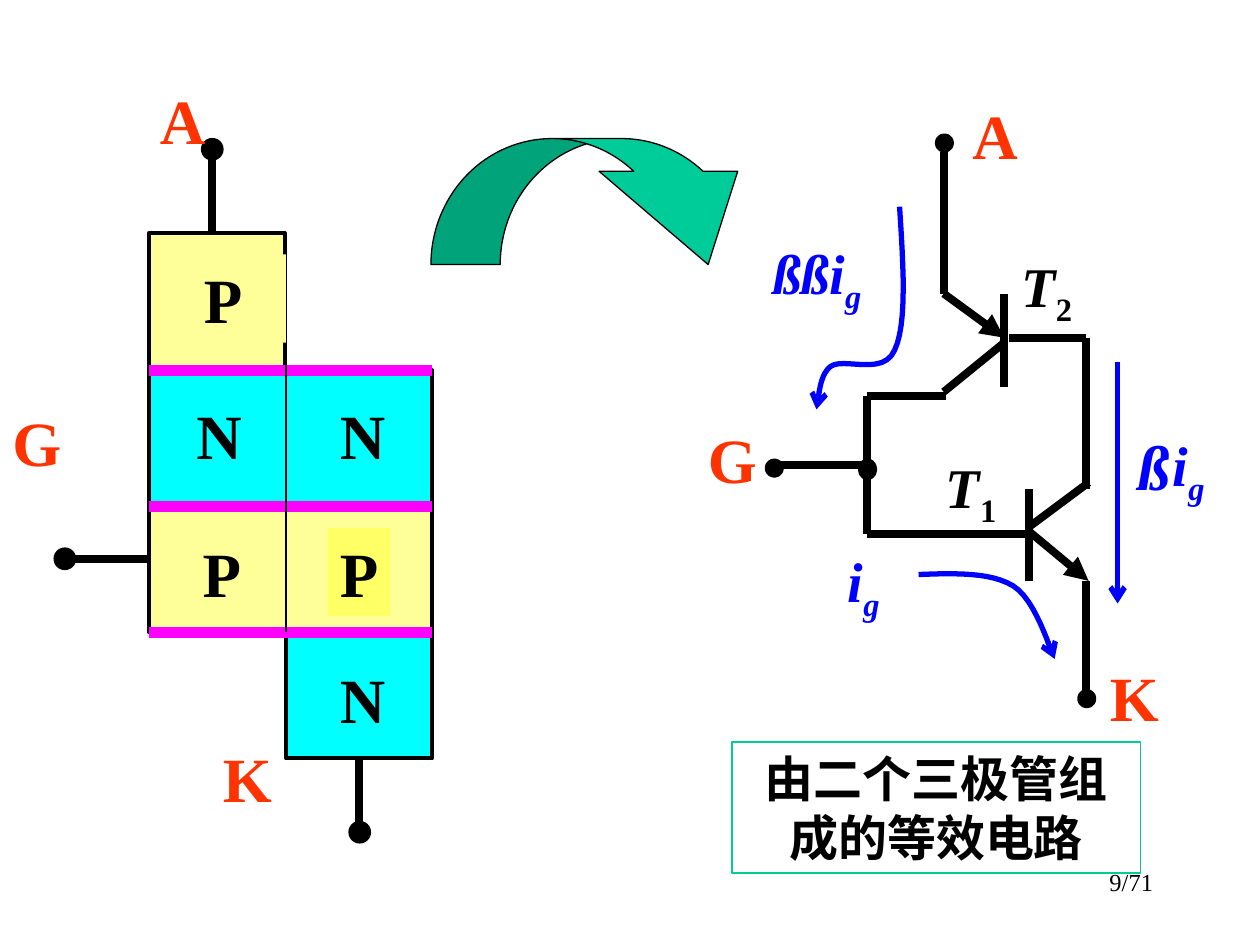
from lxml import etree
from pptx import Presentation
from pptx.dml.color import RGBColor
from pptx.enum.shapes import MSO_CONNECTOR, MSO_SHAPE
from pptx.enum.text import MSO_AUTO_SIZE, PP_ALIGN
from pptx.oxml.ns import qn
from pptx.util import Inches, Pt

RECT, OVAL = MSO_SHAPE.RECTANGLE, MSO_SHAPE.OVAL
CURVED_ARROW = MSO_SHAPE.CURVED_DOWN_ARROW
STRAIGHT = MSO_CONNECTOR.STRAIGHT
LEFT, CENTER, RIGHT = PP_ALIGN.LEFT, PP_ALIGN.CENTER, PP_ALIGN.RIGHT
GROW = MSO_AUTO_SIZE.SHAPE_TO_FIT_TEXT
FONT = "Times New Roman"
BLACK, RED, BLUE, GREEN = "000000", "FF3300", "0000FF", "00CC99"
CYAN, YELLOW, BRIGHT, MAGENTA = "00FFFF", "FFFF99", "FFFF66", "FF00FF"
rgb = RGBColor.from_string

prs = Presentation()
prs.slide_width, prs.slide_height = Inches(10), Inches(7.5)
s = prs.slides.add_slide(prs.slide_layouts[6])


def add_text(text, x, y, w, h=0.7, size=36, color=BLACK, bold=True, italic=False,
             sub="", sub_italic=True, fill=None, wrap=False, align=LEFT):
    sp = s.shapes.add_textbox(Inches(x), Inches(y), Inches(w), Inches(h))
    if fill:
        sp.fill.solid()
        sp.fill.fore_color.rgb = rgb(fill)
    tf = sp.text_frame
    tf.word_wrap = wrap
    if not wrap:
        tf.auto_size = GROW
    p = tf.paragraphs[0]
    p.alignment = align
    for part, slanted in ((text, italic), (sub, sub_italic)):
        if part:
            r = p.add_run()
            r.text = part
            r.font.name, r.font.size = FONT, Pt(size)
            r.font.bold, r.font.italic = bold, slanted
            r.font.color.rgb = rgb(color)
    if sub:
        r.font._element.set("baseline", "-25000")
    return sp


def style_line(sp, color, width, head=None):
    sp.line.color.rgb = rgb(color)
    sp.line.width = Pt(width)
    if head:
        etree.SubElement(sp.line._get_or_add_ln(), qn("a:tailEnd"), type=head)


# Semiconductor layers
for x, y, w, h, color in [
    (2.27, 5.02, 1.16, 1, CYAN), (1.18, 2.94, 2.25, 1.08, CYAN),
    (1.18, 4.02, 2.25, 1, YELLOW), (1.18, 1.85, 1.08, 1.08, YELLOW),
]:
    sp = s.shapes.add_shape(RECT, Inches(x), Inches(y), Inches(w), Inches(h))
    sp.shadow.inherit = False
    sp.fill.solid()
    sp.fill.fore_color.rgb = rgb(color)
    style_line(sp, BLACK, 2.25)
    if y == 5.02:
        cathode_layer = sp

# Layer letters
for text, x, y, w, fill in [
    ("P", 1.52, 2.02, 0.75, YELLOW), ("N", 1.46, 3.1, 0.56, CYAN),
    ("P", 1.51, 4.19, 0.5, YELLOW), ("N", 2.6, 3.1, 0.56, None),
    ("P", 2.6, 4.19, 0.5, BRIGHT), ("N", 2.6, 5.19, 0.56, CYAN),
]:
    add_text(text, x, y, w, fill=fill, wrap=w == 0.75)

# Junctions, leads, transistor circuit and base current
junctions = [(1.18, y, 3.43, y, MAGENTA, 6, None) for y in (4.02, 5.02, 2.94)]
wires = [(*ends, BLACK, 4.5, None) for ends in [
    (1.68, 1.85, 1.68, 1.19), (2.85, 6.02, 2.85, 6.6), (1.18, 4.44, 0.52, 4.44),
    (7.51, 3.14, 7.21, 3.14), (8.19, 4.24, 6.88, 4.24), (8.64, 3.83, 8.17, 4.18),
    (8.17, 3.88, 8.17, 4.61), (7.97, 2.33, 7.97, 3.07), (7.97, 2.72, 7.49, 3.11),
    (7.49, 1.85, 7.49, 2.33), (8.01, 2.68, 8.62, 2.68), (7.49, 1.21, 7.49, 1.85),
    (8.62, 2.68, 8.62, 3.88), (7.4, 3.14, 6.88, 3.14), (6.88, 3.14, 6.88, 4.24),
    (6.19, 3.69, 6.88, 3.69), (8.62, 4.61, 8.62, 5.53),
]]
others = [
    (2.27, 2.85, 2.27, 5.02, BLACK, 0.75, None),
    (8.17, 4.22, 8.64, 4.61, BLACK, 4.5, "triangle"),
    (7.49, 2.33, 7.97, 2.68, BLACK, 4.5, "triangle"),
    (8.87, 2.87, 8.87, 4.79, BLUE, 3, "arrow"),
]
for x1, y1, x2, y2, color, width, head in junctions + wires + others:
    line = s.shapes.add_connector(STRAIGHT, Inches(x1), Inches(y1), Inches(x2), Inches(y2))
    style_line(line, color, width, head)
    etree.SubElement(line._element.spPr, qn("a:effectLst"))
    if (x1, y1) == (2.85, 6.02):
        line.begin_connect(cathode_layer, 2)

# Terminals and node
for x, y, w, h, width in [
    (2.77, 6.52, 0.17, 0.17, 0.75), (0.43, 4.35, 0.17, 0.17, 0.75),
    (1.6, 1.1, 0.17, 0.17, 0.75), (6.84, 3.67, 0.09, 0.11, 4.5),
    (6.1, 3.67, 0.09, 0.09, 4.5), (7.45, 1.09, 0.09, 0.09, 4.5),
    (8.58, 5.5, 0.09, 0.09, 4.5),
]:
    sp = s.shapes.add_shape(OVAL, Inches(x), Inches(y), Inches(w), Inches(h))
    sp.shadow.inherit = False
    sp.fill.solid()
    sp.fill.fore_color.rgb = rgb(BLACK)
    style_line(sp, BLACK, width)

# Terminal names
for text, x, y, w in [
    ("A", 1.17, 0.6, 0.56), ("G", 0, 3.15, 0.59), ("K", 1.67, 5.82, 0.59),
    ("A", 7.62, 0.72, 0.56), ("G", 5.52, 3.29, 0.59), ("K", 8.71, 5.18, 0.59),
]:
    add_text(text, x, y, w, color=RED)

# Curved arrow between the two views
sp = s.shapes.add_shape(CURVED_ARROW, Inches(3.42), Inches(1.1), Inches(2.75), Inches(1))
sp.shadow.inherit = False
for i, value in enumerate((0.55, 1.1, 0.74)):
    sp.adjustments[i] = value
sp.fill.solid()
sp.fill.fore_color.rgb = rgb(GREEN)
style_line(sp, BLACK, 0.75)

# Current paths: chained cubic curves, each sharing its end with the next start
STEPS = 12
for knots in [
    [(7.29, 4.56), (7.57, 4.55), (7.86, 4.54), (8.04, 4.65),
     (8.22, 4.76), (8.33, 5.15), (8.37, 5.23)],
    [(7.14, 1.64), (7.17, 2.11), (7.2, 2.57), (7.1, 2.78), (7.01, 2.99),
     (6.69, 2.83), (6.59, 2.91), (6.49, 2.99), (6.5, 3.2), (6.48, 3.25)],
]:
    points = []
    for k in range(0, len(knots) - 1, 3):
        for t in (n / STEPS for n in range(1, STEPS + 1)):
            weights = ((1 - t) ** 3, 3 * t * (1 - t) ** 2, 3 * t * t * (1 - t), t ** 3)
            points.append(tuple(
                Inches(sum(c * knot[axis] for c, knot in zip(weights, knots[k:k + 4])))
                for axis in (0, 1)))
    builder = s.shapes.build_freeform(Inches(knots[0][0]), Inches(knots[0][1]))
    builder.add_line_segments(points, close=False)
    sp = builder.convert_to_shape()
    sp.shadow.inherit = False
    sp.fill.background()
    style_line(sp, BLUE, 3, "arrow")

# Current and transistor names
add_text("ß", 8.94, 3.34, 0.45, color=BLUE, italic=True)
for text, x, y, w in [("i", 6.63, 4.29, 0.45), ("i", 9.21, 3.37, 0.45),
                      ("ßßi", 6.04, 1.84, 0.92)]:
    add_text(text, x, y, w, 0.71, size=32, color=BLUE, italic=True, sub="g")
for sub, x, y, w in [("1", 7.41, 3.54, 0.6), ("2", 8.01, 1.95, 0.72)]:
    add_text("T", x, y, w, 0.71, size=32, italic=True, sub=sub, sub_italic=False,
             wrap=w == 0.72)

# Caption and page number
sp = add_text("由二个三极管组成的等效电路", 5.81, 5.89, 3.24, 1.04, size=28,
              wrap=True, align=CENTER)
style_line(sp, GREEN, 0.75)
add_text("9/71", 7.17, 6.83, 2.08, 0.5, size=14, bold=False, wrap=True, align=RIGHT)

prs.save("out.pptx")
